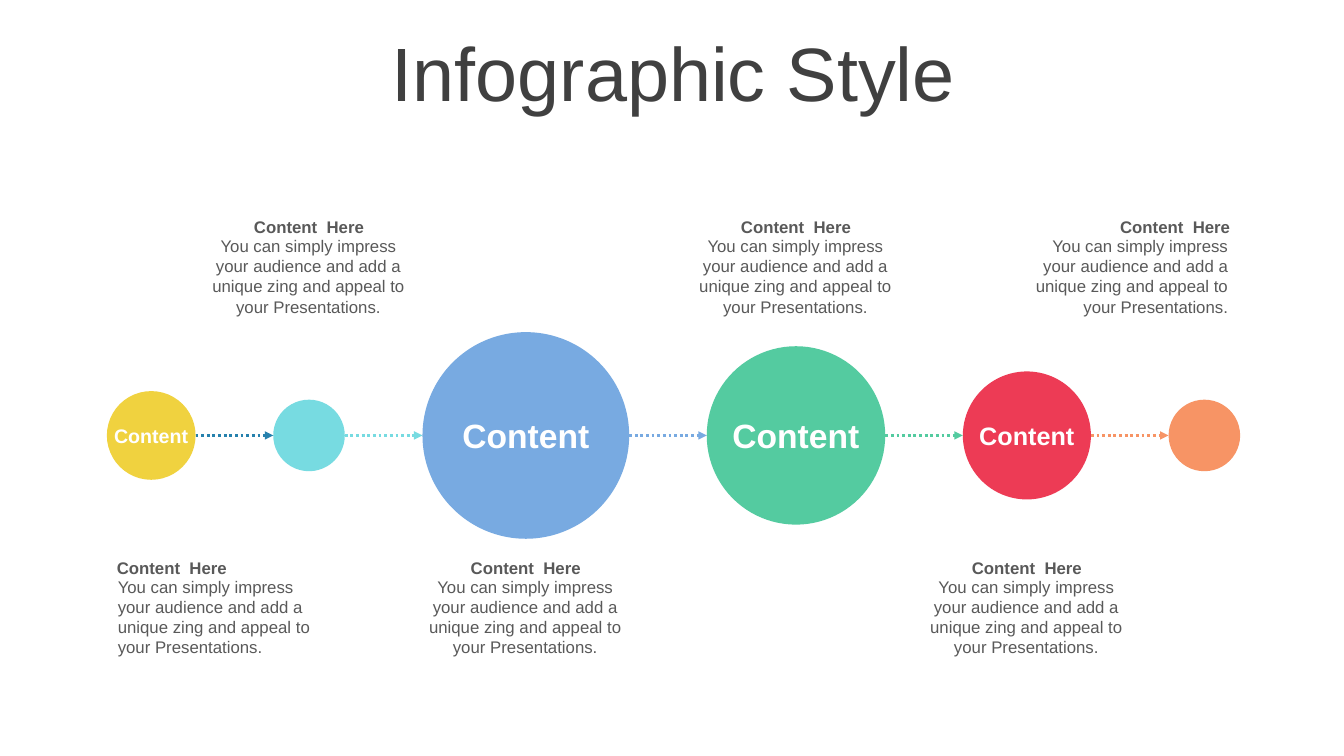
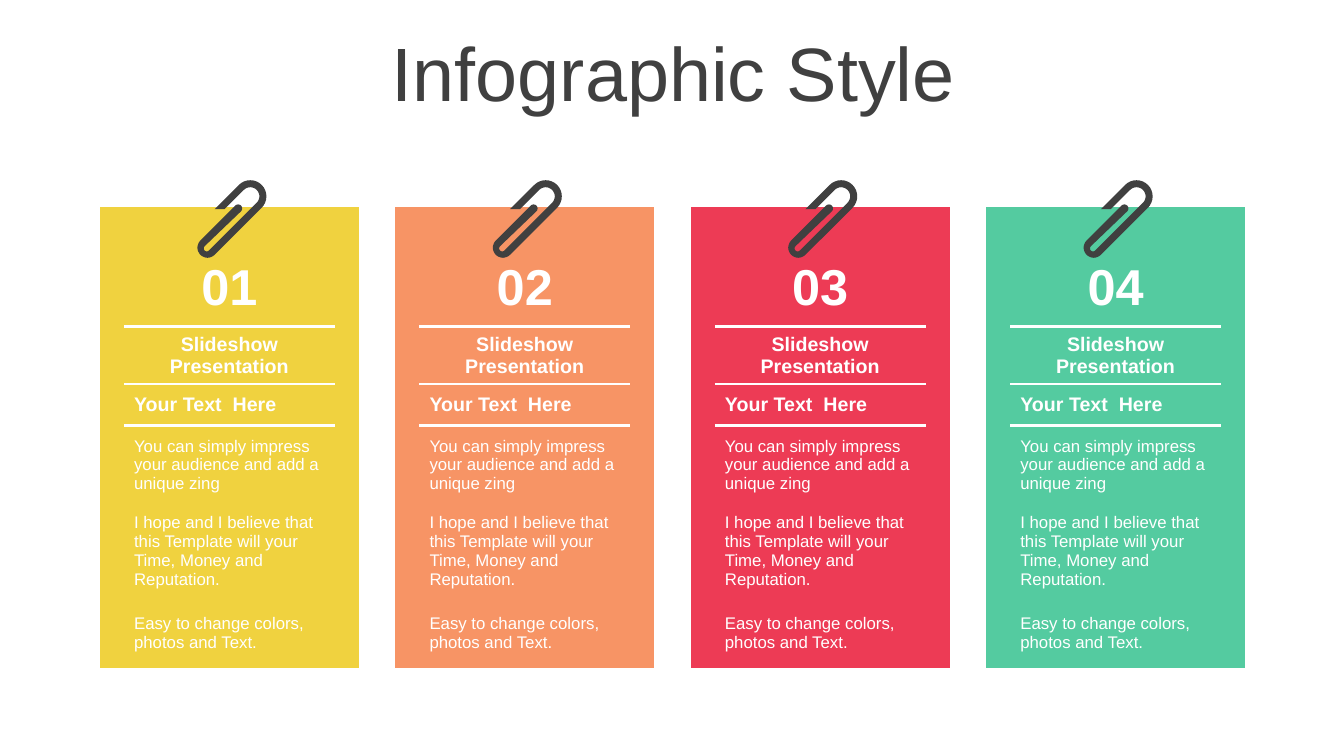
from math import cos, sin, radians

from pptx import Presentation
from pptx.dml.color import RGBColor
from pptx.enum.dml import MSO_LINE
from pptx.enum.shapes import MSO_CONNECTOR, MSO_SHAPE
from pptx.enum.text import MSO_ANCHOR, PP_ALIGN
from pptx.oxml import parse_xml
from pptx.oxml.ns import nsdecls, qn
from pptx.util import Inches, Pt

COLORS = {
    "yellow": "F0D23F", "cyan": "77DBE1", "blue": "78AAE1",
    "green": "54CBA0", "red": "ED3B55", "orange": "F79465",
    "navy": "2681AD", "dark": "404040", "gray": "595959", "white": "FFFFFF",
}
RGB = {name: RGBColor.from_string(code) for name, code in COLORS.items()}
LEFT, CENTER, RIGHT = PP_ALIGN.LEFT, PP_ALIGN.CENTER, PP_ALIGN.RIGHT
NO_STYLE = "{2D5ABB26-0587-4C30-8999-92F81FD0307C}"


def write(frame, text, size, color, bold=False, align=CENTER):
    """Fill a text frame with one paragraph in a single style."""
    frame.text = text
    frame.word_wrap = True
    para = frame.paragraphs[0]
    para.alignment = align
    font = para.runs[0].font
    font.name, font.size, font.bold = "Arial", Pt(size), bold
    font.color.rgb = RGB[color]


def arc(cx, cy, radius, start, end):
    """Points along an arc; degrees run clockwise from the right."""
    angles = [radians(start + (end - start) * i / 16) for i in range(17)]
    return [(cx + radius * cos(a), cy + radius * sin(a)) for a in angles]


prs = Presentation()
prs.slide_width, prs.slide_height = Inches(13.33), Inches(7.5)
layout = prs.slide_layouts[5]
head = layout.placeholders[0]
head.left, head.top = Inches(0.35), Inches(0.37)
head.width, head.height = Inches(12.66), Inches(0.79)

flow, cards = [prs.slides.add_slide(layout) for _ in range(2)]
for slide in (flow, cards):
    frame = slide.shapes.title.text_frame
    write(frame, "Infographic Style", 54, "dark")
    frame.vertical_anchor = MSO_ANCHOR.MIDDLE
    frame.paragraphs[0].line_spacing = 0.9

# Slide 1: chain of circles with captions below and above in turn
AXIS, GAP, WIDE = 4.32, 0.77, 2.29
BODY = ("You can simply impress your audience and add a unique zing "
        "and appeal to your Presentations.")
# diameter, fill, label size, arrow colour, caption alignment
circles = [
    (0.88, "yellow", 14, "navy", LEFT),
    (0.71, "cyan", None, "cyan", CENTER),
    (2.05, "blue", 24, "blue", CENTER),
    (1.77, "green", 24, "green", CENTER),
    (1.27, "red", 18, "orange", CENTER),
    (0.71, "orange", None, None, RIGHT),
]
left = 1.06
for i, (size, fill, label, arrow, align) in enumerate(circles):
    dot = flow.shapes.add_shape(
        MSO_SHAPE.OVAL, Inches(left), Inches(AXIS - size / 2),
        Inches(size), Inches(size))
    dot.shadow.inherit = False
    dot.fill.solid()
    dot.fill.fore_color.rgb = RGB[fill]
    dot.line.fill.background()
    if label:
        frame = dot.text_frame
        write(frame, "Content", label, "white", bold=True)
        frame.word_wrap = False
        frame.vertical_anchor = MSO_ANCHOR.MIDDLE

    start = {LEFT: left, CENTER: left + (size - WIDE) / 2,
             RIGHT: left + size - WIDE}[align]
    top = 2.1 if i % 2 else 5.48
    for text, x, y, w, h, bold in [
        (BODY, start + 0.01, top + 0.19, WIDE - 0.03, 0.91, False),
        ("Content  Here", start, top, WIDE, 0.3, True),
    ]:
        box = flow.shapes.add_textbox(Inches(x), Inches(y), Inches(w), Inches(h))
        write(box.text_frame, text, 12, "gray", bold, align)

    left += size
    if arrow:
        link = flow.shapes.add_connector(
            MSO_CONNECTOR.STRAIGHT, Inches(left), Inches(AXIS),
            Inches(left + GAP), Inches(AXIS))
        link.line.color.rgb = RGB[arrow]
        link.line.width = Pt(2)
        link.line.dash_style = MSO_LINE.ROUND_DOT
        props = link._element.spPr
        props.find(qn("a:ln")).append(
            parse_xml(f'<a:tailEnd {nsdecls("a")} type="triangle"/>'))
        props.append(parse_xml(f'<a:effectLst {nsdecls("a")}/>'))
    left += GAP

# Slide 2: four cards, each a table held by a paper clip
COLS = [0.24, 2.09, 0.23]
ROWS = [0.42, 0.77, 0.57, 0.41, 0.79, 0.92, 0.7]
# text, size, bold, alignment, ruled sides
lines = [
    ("{:02}", 36, True, CENTER, "B"),
    ("Slideshow Presentation", 14, True, CENTER, "TB"),
    ("Your Text  Here", 14, True, LEFT, "T"),
    ("You can simply impress your audience and add a unique zing",
     12, False, LEFT, ""),
    ("I hope and I believe that this Template will your Time, Money "
     "and Reputation.", 12, False, LEFT, ""),
    ("Easy to change colors, photos and Text.", 12, False, LEFT, ""),
]
# Outline of the upright clip, in inches around its centre
clip = (arc(0, -0.3, 0.16, 180, 360) + arc(0.06, 0.36, 0.1, 0, 180)
        + arc(0, -0.13, 0.04, 180, 360) + arc(0.06, 0.37, 0.03, 180, 0)
        + arc(0, -0.3, 0.09, 0, -180) + [(-0.09, -0.03), (-0.16, 0.04)])
clip = [(round(x * 1000), round(y * 1000)) for x, y in clip]

for i, fill in enumerate(["yellow", "orange", "red", "green"]):
    left = 0.99 + 2.93 * i
    table = cards.shapes.add_table(
        len(ROWS), len(COLS), Inches(left), Inches(2.05),
        Inches(sum(COLS)), Inches(sum(ROWS))).table
    table.first_row = table.horz_banding = False
    table._tbl.tblPr.find(qn("a:tableStyleId")).text = NO_STYLE
    for col, width in zip(table.columns, COLS):
        col.width = Inches(width)
    for row, height in zip(table.rows, ROWS):
        row.height = Inches(height)
    for cell in table.iter_cells():
        cell.fill.solid()
        cell.fill.fore_color.rgb = RGB[fill]
    for r, (text, size, bold, align, sides) in enumerate(lines, 1):
        cell = table.cell(r, 1)
        write(cell.text_frame, text.format(i + 1), size, "white", bold, align)
        cell.vertical_anchor = MSO_ANCHOR.MIDDLE
        props = cell._tc.get_or_add_tcPr()
        for n, side in enumerate(sides):
            props.insert(n, parse_xml(
                f'<a:ln{side} {nsdecls("a")} w="{Pt(2.25)}"><a:solidFill>'
                f'<a:srgbClr val="{COLORS["white"]}"/></a:solidFill></a:ln{side}>'))

    pen = cards.shapes.build_freeform(*clip[0], scale=Inches(1) / 1000)
    pen.add_line_segments(clip[1:], close=True)
    shape = pen.convert_to_shape(Inches(left + sum(COLS) / 2), Inches(2.16))
    shape.rotation = 45
    shape.shadow.inherit = False
    shape.fill.solid()
    shape.fill.fore_color.rgb = RGB["dark"]
    shape.line.fill.background()

prs.save("out.pptx")
